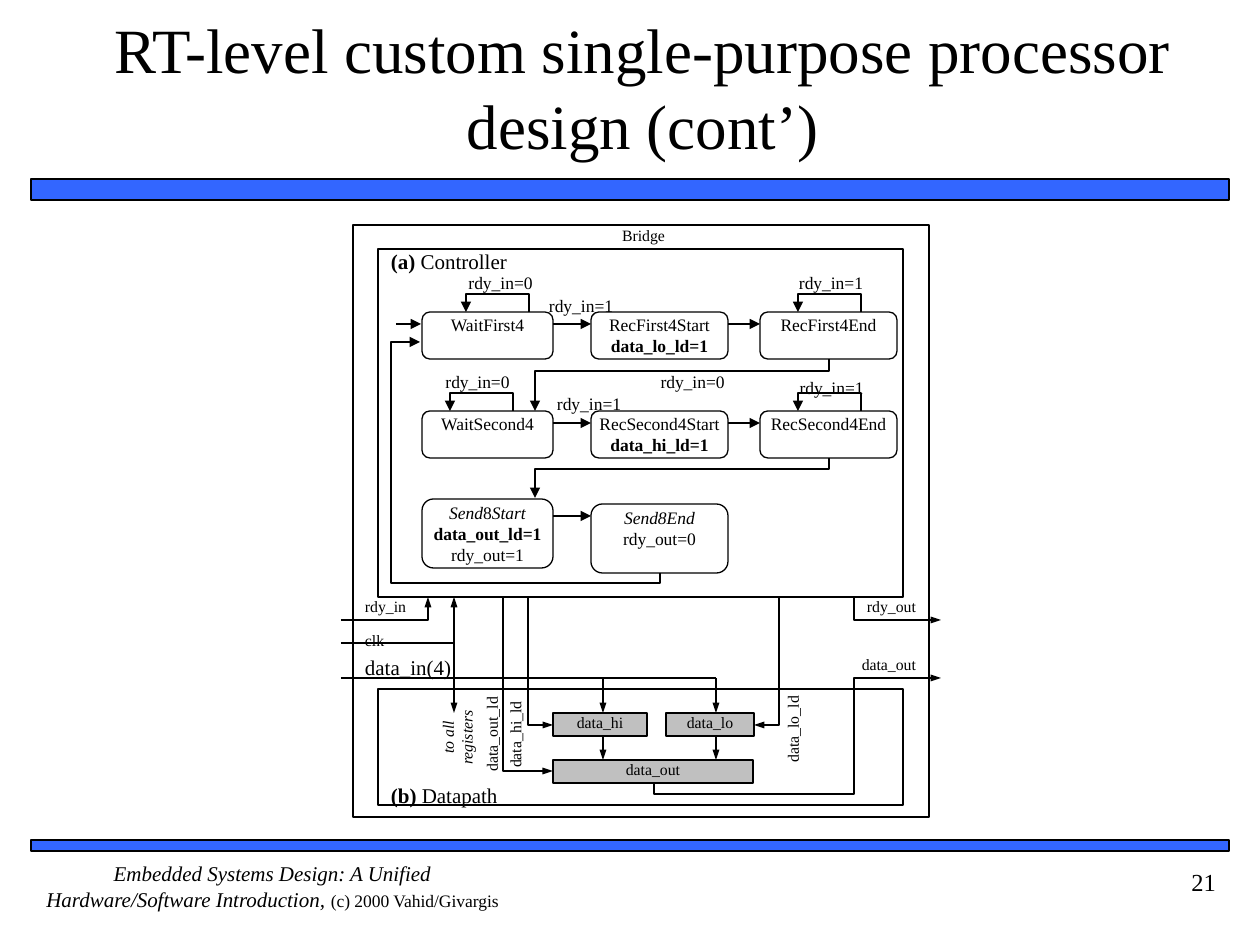
from lxml import etree
from pptx import Presentation
from pptx.dml.color import RGBColor
from pptx.enum.shapes import MSO_CONNECTOR, MSO_SHAPE
from pptx.enum.text import MSO_ANCHOR, MSO_AUTO_SIZE, PP_ALIGN
from pptx.oxml.ns import qn
from pptx.util import Pt

PX = 914400 / 126
FONT = "Times New Roman"
BLACK = RGBColor(0, 0, 0)
BLUE = RGBColor(0x33, 0x66, 0xFF)
GREY = RGBColor(0xC0, 0xC0, 0xC0)
RECT, ROUND = MSO_SHAPE.RECTANGLE, MSO_SHAPE.ROUNDED_RECTANGLE
STRAIGHT = MSO_CONNECTOR.STRAIGHT
LEFT, CENTER, RIGHT = PP_ALIGN.LEFT, PP_ALIGN.CENTER, PP_ALIGN.RIGHT
THIN, THICK = 0.75, 1.25

# Content: a text is a list of paragraphs, each a list of (words, style) runs
TITLE = "RT-level custom single-purpose processor design (cont’)"
FOOTER = ("Embedded Systems Design: A Unified Hardware/Software Introduction, ",
          "(c) 2000 Vahid/Givargis")
PAGE = "21"

BARS = [(31, 179, 1198, 21), (31, 840, 1198, 11)]
FRAMES = [(378, 249, 525, 348), (378, 689, 525, 116), (353, 225, 576, 592)]

COLS = [(422, 131), (591, 137), (760, 137)]  # left, width
ROWS = [312, 411]
STATE_H, SEND_H = 47, 69
STATES = [  # column, top, height, text
    (0, ROWS[0], STATE_H, [[("WaitFirst4", "")]]),
    (1, ROWS[0], STATE_H, [[("RecFirst4Start", "")], [("data_lo_ld=1", "b")]]),
    (2, ROWS[0], STATE_H, [[("RecFirst4End", "")]]),
    (0, ROWS[1], STATE_H, [[("WaitSecond4", "")]]),
    (1, ROWS[1], STATE_H, [[("RecSecond4Start", "")], [("data_hi_ld=1", "b")]]),
    (2, ROWS[1], STATE_H, [[("RecSecond4End", "")]]),
    (0, 499, SEND_H, [[("Send", "i"), ("8", ""), ("Start", "i")],
                      [("data_out_ld=1", "b")], [("rdy_out=1", "")]]),
    (1, 504, SEND_H, [[("Send8End", "i")], [("rdy_out=0", "")]]),
]
LOOPS = [(466, ROWS[0]), (798, ROWS[0]), (450, ROWS[1]), (798, ROWS[1])]
LOOP_W, LOOP_H = 63, 18
REGISTERS = [((553, 713, 94, 23), "data_hi"), ((666, 713, 88, 23), "data_lo"),
             ((553, 760, 200, 23), "data_out")]

LABELS = [  # box, runs, size, alignment, rotation
    ((465, 272, 71, 23), [("rdy_in=0", "")], 10, CENTER, 0),
    ((534, 295, 94, 23), [("rdy_in=1", "")], 10, CENTER, 0),
    ((795, 272, 72, 23), [("rdy_in=1", "")], 10, CENTER, 0),
    ((431, 371, 93, 23), [("rdy_in=0", "")], 10, CENTER, 0),
    ((555, 393, 68, 23), [("rdy_in=1", "")], 10, CENTER, 0),
    ((646, 371, 93, 23), [("rdy_in=0", "")], 10, CENTER, 0),
    ((785, 377, 93, 23), [("rdy_in=1", "")], 10, CENTER, 0),
    ((391, 249, 151, 23), [("(a)", "b"), (" Controller", "")], 12, LEFT, 0),
    ((391, 783, 137, 23), [("(b)", "b"), (" Datapath", "")], 12, LEFT, 0),
    ((616, 226, 49, 23), [("Bridge", "")], 9, RIGHT, 0),
    ((365, 597, 49, 23), [("rdy_in", "")], 9, LEFT, 0),
    ((365, 631, 49, 12), [("clk", "")], 9, LEFT, 0),
    ((365, 655, 101, 18), [("data_in(4)", "")], 12, LEFT, 0),
    ((867, 597, 49, 23), [("rdy_out", "")], 9, RIGHT, 0),
    ((854, 655, 62, 23), [("data_out", "")], 9, RIGHT, 0),
    ((427, 714, 69, 47), [("to all registers", "i")], 9, CENTER, 270),
    ((452, 727, 83, 23), [("data_out_ld", "")], 9, RIGHT, 270),
    ((481, 726, 79, 30), [("data_hi_ld", "")], 9, RIGHT, 270),
    ((760, 719, 79, 33), [("data_lo_ld", "")], 9, RIGHT, 270),
]

# Arrows run from first point to last
STATE_ARROWS = [
    [(396, 324), (421, 324)],
    *[[(x1, y + 12), (x2, y + 12)] for y in ROWS for x1, x2 in ((553, 591), (728, 760))],
    [(553, 516), (591, 516)],
    [(829, 359), (829, 371), (535, 371), (535, 411)],
    [(829, 458), (829, 469), (535, 469), (535, 498)],
    [(660, 573), (660, 583), (391, 583), (391, 342), (420, 342)],
    *[[(x + LOOP_W, y), (x + LOOP_W, y - LOOP_H), (x, y - LOOP_H), (x, y)]
      for x, y in LOOPS],
]
SIGNALS = [  # points, weight
    ([(341, 620), (428, 620), (428, 597)], THIN),
    ([(854, 597), (854, 620), (941, 620)], THIN),
    ([(454, 643), (454, 713)], THIN),
    ([(454, 643), (454, 597)], THIN),
    ([(503, 597), (503, 771), (553, 771)], THIN),
    ([(528, 597), (528, 725), (553, 725)], THIN),
    ([(779, 597), (779, 725), (754, 725)], THIN),
    *[([(x, y1), (x, y2)], THICK) for x in (603, 716) for y1, y2 in ((678, 713), (736, 760))],
    ([(654, 783), (654, 794), (854, 794), (854, 678), (941, 678)], THICK),
]
WIRES = [([(341, 643), (454, 643)], THIN), ([(341, 678), (716, 678)], THICK)]


def emu(*values):
    return [round(v * PX) for v in values]


def add_run(p, text, size, style=""):
    r = p.add_run()
    r.text = text
    r.font.name, r.font.size = FONT, Pt(size)
    r.font.color.rgb = BLACK
    r.font.bold, r.font.italic = "b" in style, "i" in style


def write(sp, paragraphs, size, align=CENTER, anchor=MSO_ANCHOR.TOP, inset=(0, 0)):
    tf = sp.text_frame
    tf.word_wrap = True
    tf.auto_size = MSO_AUTO_SIZE.NONE
    tf.vertical_anchor = anchor
    tf.margin_left = tf.margin_right = emu(inset[0])[0]
    tf.margin_top = tf.margin_bottom = emu(inset[1])[0]
    for i, runs in enumerate(paragraphs):
        p = tf.add_paragraph() if i else tf.paragraphs[0]
        p.alignment = align
        for text, style in runs:
            add_run(p, text, size, style)


def add_box(box, kind=RECT, fill=None, weight=THIN):
    sp = s.shapes.add_shape(kind, *emu(*box))
    sp.shadow.inherit = False
    if fill is None:
        sp.fill.background()
    else:
        sp.fill.solid()
        sp.fill.fore_color.rgb = fill
    sp.line.color.rgb, sp.line.width = BLACK, Pt(weight)
    return sp


def add_path(points, weight=THIN, head=None):
    """Draw a line through the points; head is the arrowhead's width."""
    points = [emu(*pt) for pt in points]
    if len(points) == 2:
        sp = s.shapes.add_connector(STRAIGHT, *points[0], *points[1])
        etree.SubElement(sp._element.spPr, qn("a:effectLst"))
    else:
        builder = s.shapes.build_freeform(*points[0])
        builder.add_line_segments(points[1:], close=False)
        sp = builder.convert_to_shape()
        sp.fill.background()
        sp.shadow.inherit = False
    sp.line.color.rgb, sp.line.width = BLACK, Pt(weight)
    if head:
        etree.SubElement(sp.line._get_or_add_ln(), qn("a:tailEnd"),
                         type="triangle", w=head, len="med")


prs = Presentation()
prs.slide_width, prs.slide_height = emu(1260, 945)
s = prs.slides.add_slide(prs.slide_layouts[5])

# Title, bars and footer
title = s.shapes.title
title.left, title.top, title.width, title.height = emu(65, 8, 1155, 157)
write(title, [[(TITLE, "")]], 36, anchor=MSO_ANCHOR.MIDDLE, inset=(0, 6))
for bar in BARS:
    add_box(bar, fill=BLUE, weight=1)
footer = s.shapes.add_textbox(*emu(31, 861, 483, 63))
write(footer, [[(FOOTER[0], "i")]], 12)
add_run(footer.text_frame.paragraphs[0], FOOTER[1], 10)
page = s.shapes.add_textbox(*emu(1103, 861, 126, 63))
write(page, [[(PAGE, "")]], 14, RIGHT, inset=(13, 6))

# Frames, states and registers
for frame in FRAMES:
    add_box(frame)
for col, top, height, text in STATES:
    left, width = COLS[col]
    write(add_box((left, top, width, height), ROUND), text, 10)
for box, name in REGISTERS:
    write(add_box(box, fill=GREY), [[(name, "")]], 9)

# Transitions and signals
for points in STATE_ARROWS:
    add_path(points, head="med")
for points, weight in SIGNALS:
    add_path(points, weight, head="sm")
for points, weight in WIRES:
    add_path(points, weight)

# Labels
for box, runs, size, align, rotation in LABELS:
    label = s.shapes.add_textbox(*emu(*box))
    label.rotation = rotation
    write(label, [runs], size, align)

prs.save("out.pptx")
